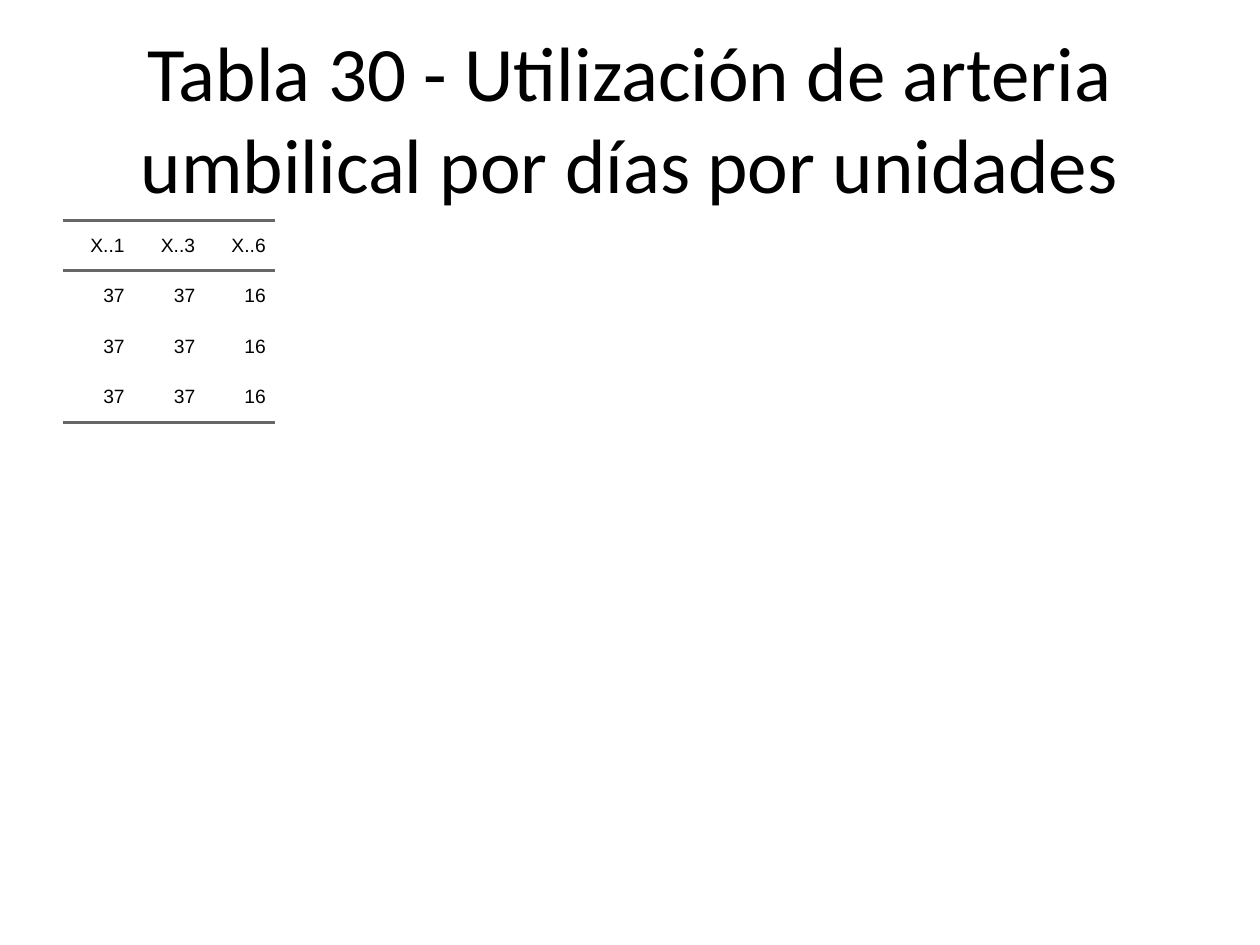
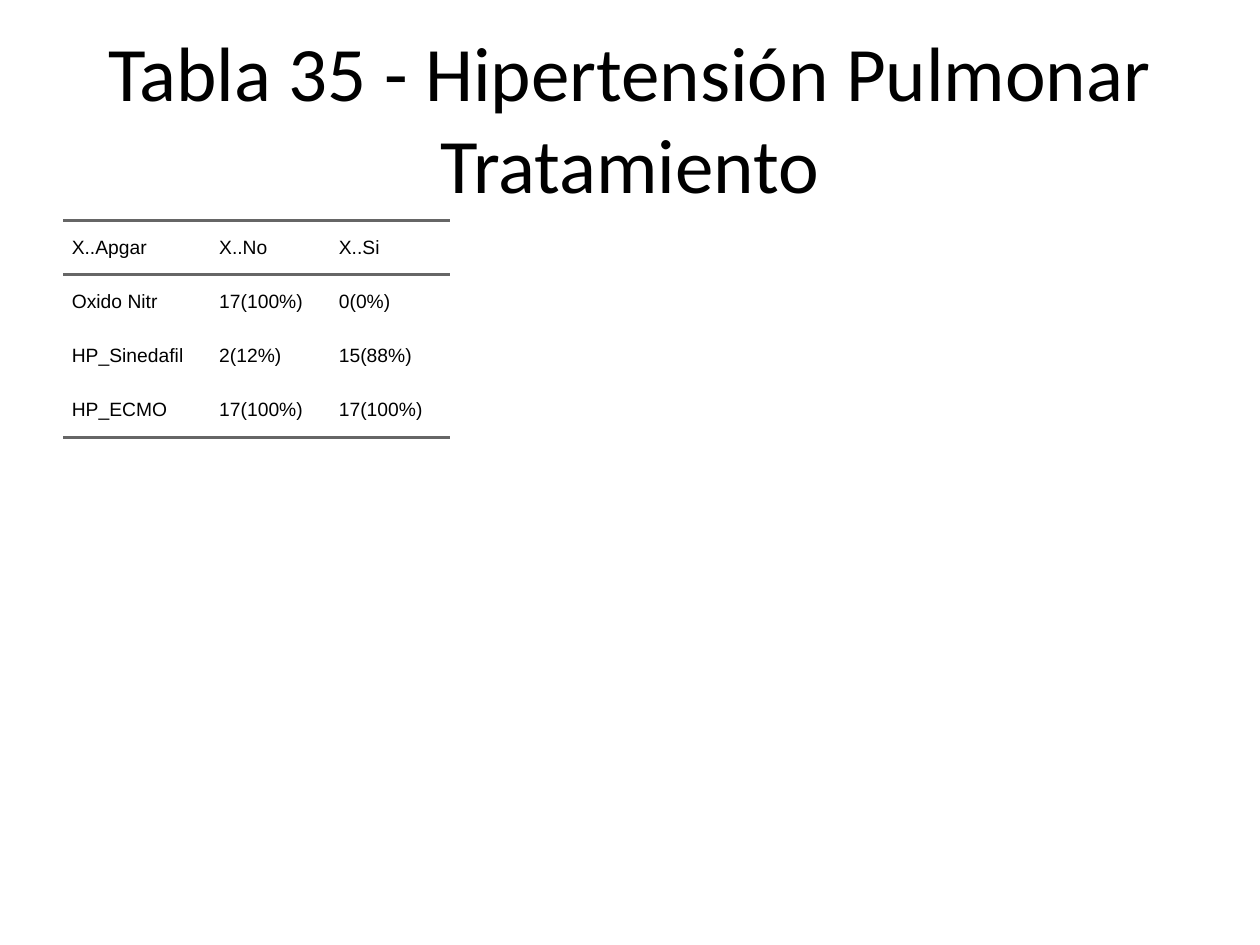
"""Build two slides, each with a title and a compact ruled table."""
import pptx
import pptx.dml.color
import pptx.enum.text
import pptx.oxml
import pptx.oxml.ns
import pptx.util

Inches = pptx.util.Inches
Pt = pptx.util.Pt
ALIGN = pptx.enum.text.PP_ALIGN
MIDDLE = pptx.enum.text.MSO_ANCHOR.MIDDLE
BLACK = pptx.dml.color.RGBColor(0x00, 0x00, 0x00)
RULE_GREY = pptx.dml.color.RGBColor(0x66, 0x66, 0x66)
PLAIN_TABLE_STYLE = "{2D5ABB26-0587-4C30-8999-92F81FD0307C}"
CELL_INDENT = Inches(0.07)

TABLE_SLIDES = [
    {
        "title": "Tabla 30 - Utilización de arteria umbilical por días por unidades",
        "widths": [0.56, 0.56, 0.56],
        "row_height": 0.4,
        "alignment": ALIGN.RIGHT,
        "rows": [
            ["X..1", "X..3", "X..6"],
            ["37", "37", "16"],
            ["37", "37", "16"],
            ["37", "37", "16"],
        ],
    },
    {
        "title": "Tabla 35 - Hipertensión Pulmonar Tratamiento",
        "widths": [1.17, 0.95, 0.95],
        "row_height": 0.43,
        "alignment": ALIGN.LEFT,
        "rows": [
            ["X..Apgar", "X..No", "X..Si"],
            ["Oxido Nitr", "17(100%)", "0(0%)"],
            ["HP_Sinedafil", "2(12%)", "15(88%)"],
            ["HP_ECMO", "17(100%)", "17(100%)"],
        ],
    },
]


def add_run(paragraph, text, font_name, size, alignment):
    paragraph.alignment = alignment
    run = paragraph.add_run()
    run.text = text
    run.font.name = font_name
    run.font.size = Pt(size)
    run.font.bold = False
    run.font.color.rgb = BLACK


def add_rules(cell, edges):
    properties = cell._tc.get_or_add_tcPr()
    for position, edge in enumerate(edges):
        rule = pptx.oxml.parse_xml(
            f'<a:{edge} {pptx.oxml.ns.nsdecls("a")} w="{Pt(2)}">'
            f'<a:solidFill><a:srgbClr val="{RULE_GREY}"/></a:solidFill>'
            f'<a:prstDash val="solid"/></a:{edge}>'
        )
        properties.insert(position, rule)


presentation = pptx.Presentation()
presentation.slide_width = Inches(10)
presentation.slide_height = Inches(7.5)
title_only_layout = presentation.slide_layouts[5]

for content in TABLE_SLIDES:
    slide = presentation.slides.add_slide(title_only_layout)
    title = slide.shapes.title
    title.left, title.top = Inches(0.5), Inches(0.3)
    title.width, title.height = Inches(9), Inches(1.25)
    title.text_frame.vertical_anchor = MIDDLE
    add_run(title.text_frame.paragraphs[0], content["title"], "Calibri", 44, ALIGN.CENTER)

    rows = content["rows"]
    frame = slide.shapes.add_table(
        len(rows), len(rows[0]), Inches(0.5), Inches(1.75), Inches(9), Inches(4.95)
    )
    table = frame.table
    table.first_row = False
    table.horz_banding = False
    table._tbl.tblPr.find(pptx.oxml.ns.qn("a:tableStyleId")).text = PLAIN_TABLE_STYLE
    for column, width in zip(table.columns, content["widths"]):
        column.width = Inches(width)
    for row in table.rows:
        row.height = Inches(content["row_height"])
    frame.width, frame.height = Inches(9), Inches(4.95)

    for row_index, row_texts in enumerate(rows):
        for column_index, text in enumerate(row_texts):
            cell = table.cell(row_index, column_index)
            cell.fill.background()
            cell.vertical_anchor = MIDDLE
            cell.margin_left = cell.margin_right = 0
            cell.margin_top = cell.margin_bottom = 0
            paragraph = cell.text_frame.paragraphs[0]
            add_run(paragraph, text, "Arial", 11, content["alignment"])
            paragraph_properties = paragraph._p.get_or_add_pPr()
            for side in ("marL", "marR"):
                paragraph_properties.set(side, str(CELL_INDENT))
            if row_index == 0:
                add_rules(cell, ["lnT", "lnB"])
            elif row_index == len(rows) - 1:
                add_rules(cell, ["lnB"])

presentation.save("out.pptx")
